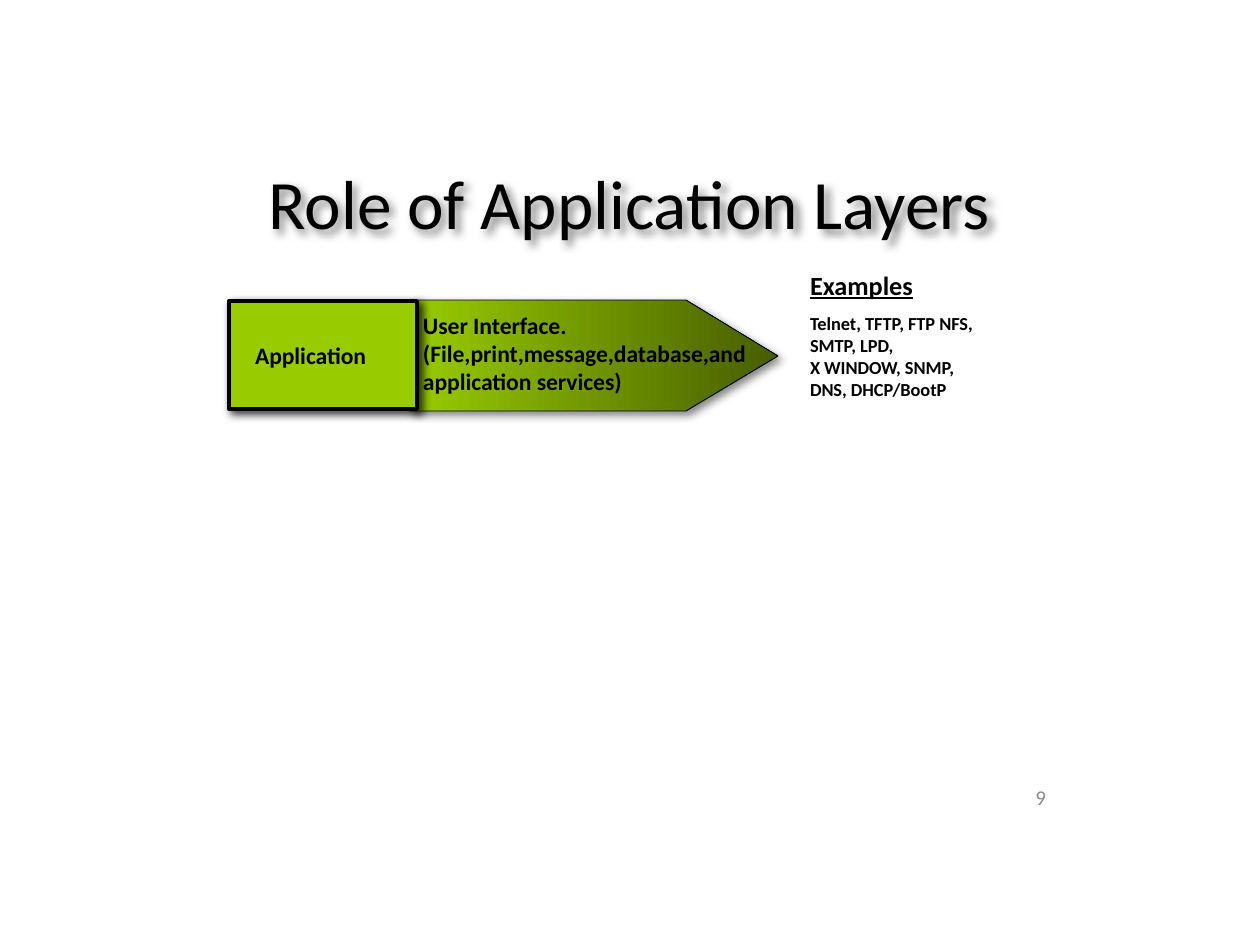
import pptx
import pptx.dml.color
import pptx.enum.shapes
import pptx.enum.text
import pptx.oxml
import pptx.oxml.ns
import pptx.util
import lxml.etree

BLACK = pptx.dml.color.RGBColor(0x00, 0x00, 0x00)
GREY = pptx.dml.color.RGBColor(0x8C, 0x8C, 0x8C)
SHADOW_GREY = pptx.dml.color.RGBColor(0x5F, 0x5F, 0x5F)
GREEN = pptx.dml.color.RGBColor(0x99, 0xCC, 0x00)
DARK_GREEN = pptx.dml.color.RGBColor(0x47, 0x5E, 0x00)
ALIGN = pptx.enum.text.PP_ALIGN
ANCHOR = pptx.enum.text.MSO_ANCHOR
EMU_PER_PX = 914400 / 126


def px(length):
    return pptx.util.Emu(round(length * EMU_PER_PX))


class SlideBuilder:
    font_name = "Calibri"

    def __init__(self, slide):
        self.slide = slide

    def shadow(self, shape, color):
        shape.shadow.inherit = False
        qn = pptx.oxml.ns.qn
        effects = shape._element.spPr.find(qn("a:effectLst"))
        outer = lxml.etree.SubElement(
            effects, qn("a:outerShdw"), blurRad=str(pptx.util.Pt(5)),
            dist=str(pptx.util.Pt(2.8)), dir="2700000", algn="ctr", rotWithShape="0")
        shade = lxml.etree.SubElement(outer, qn("a:srgbClr"), val=str(color))
        lxml.etree.SubElement(shade, qn("a:alpha"), val="75000")

    def set_text(self, shape, lines, size, color=BLACK, bold=True, underline=None,
                 align=ALIGN.LEFT, anchor=ANCHOR.MIDDLE, inset=(5, 6), wrap=True):
        frame = shape.text_frame
        frame.text = "\n".join(lines)
        frame.auto_size = pptx.enum.text.MSO_AUTO_SIZE.NONE
        frame.word_wrap = wrap
        frame.vertical_anchor = anchor
        frame.margin_left = frame.margin_right = px(inset[0])
        frame.margin_top = frame.margin_bottom = px(inset[1])
        for paragraph in frame.paragraphs:
            paragraph.alignment = align
            font = paragraph.font
            font.name, font.size = self.font_name, pptx.util.Pt(size)
            font.bold, font.underline = bold, underline
            font.color.rgb = color

    def title(self, text, left, top, width, height, size):
        shape = self.slide.shapes.title
        shape.left, shape.top = px(left), px(top)
        shape.width, shape.height = px(width), px(height)
        self.set_text(shape, [text], size, bold=False, align=ALIGN.CENTER, inset=(4, 4))
        self.shadow(shape, SHADOW_GREY)

    def text(self, lines, left, top, width, height, size, **style):
        shape = self.slide.shapes.add_textbox(px(left), px(top), px(width), px(height))
        self.set_text(shape, lines, size, **style)

    def outline(self, shape, width):
        shape.line.color.rgb = BLACK
        shape.line.width = pptx.util.Pt(width)

    def arrow(self, left, top, width, height, head):
        shoulder, right = left + width - head, left + width
        bottom = top + height
        points = [(shoulder, top), (right, top + height / 2), (shoulder, bottom), (left, bottom)]
        builder = self.slide.shapes.build_freeform(left, top, scale=EMU_PER_PX)
        builder.add_line_segments(points, close=True)
        shape = builder.convert_to_shape()
        shape.fill.gradient()
        shape.fill.gradient_angle = 0
        for stop, color in zip(shape.fill.gradient_stops, (GREEN, DARK_GREEN)):
            stop.color.rgb = color
        self.outline(shape, 0.5)
        self.shadow(shape, SHADOW_GREY)

    def box(self, left, top, width, height):
        shape = self.slide.shapes.add_shape(
            pptx.enum.shapes.MSO_SHAPE.RECTANGLE, px(left), px(top), px(width), px(height))
        shape.fill.solid()
        shape.fill.fore_color.rgb = GREEN
        self.outline(shape, 2.25)
        self.shadow(shape, BLACK)


def main():
    presentation = pptx.Presentation()
    presentation.slide_width = px(1260)
    presentation.slide_height = px(945)
    slide = presentation.slides.add_slide(presentation.slide_layouts[5])
    builder = SlideBuilder(slide)
    builder.text(["9"], 1022, 784, 33, 26, 12, color=GREY, bold=False,
                 align=ALIGN.RIGHT, inset=(9, 0))
    builder.title("Role of Application Layers", 204, 163, 851, 78, 39.6)
    builder.arrow(410, 300, 368, 111, 92)
    builder.text(["Telnet, TFTP, FTP NFS, SMTP, LPD,", "X WINDOW, SNMP, DNS, DHCP/BootP"],
                 805, 305, 194, 102, 10.5)
    builder.text(["User Interface.", "(File,print,message,database,and application services)"],
                 418, 304, 349, 98, 13.5)
    builder.text(["Examples"], 805, 263, 185, 44, 15, underline=True)
    builder.box(229, 301, 188, 108)
    builder.text(["Application"], 250, 335, 122, 42, 13.5, anchor=ANCHOR.TOP, wrap=False)
    presentation.save("out.pptx")


if __name__ == "__main__":
    main()
